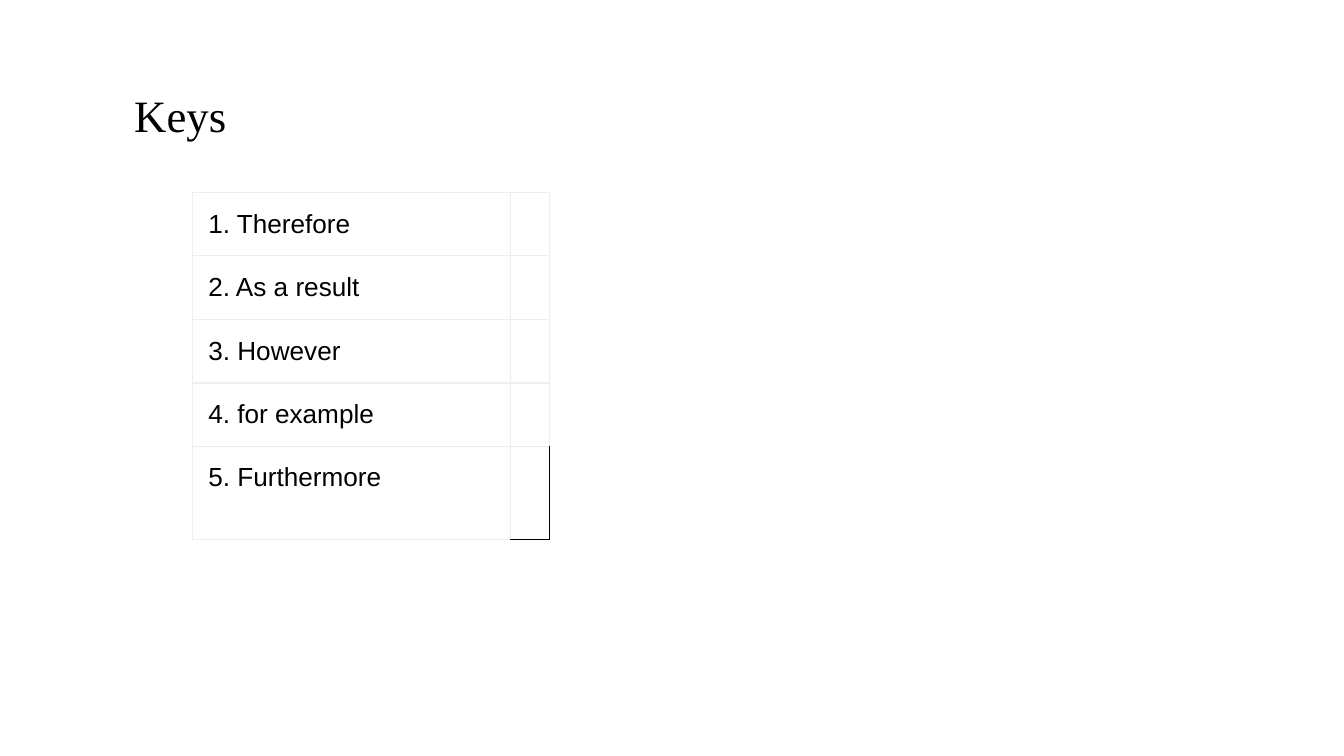
from dataclasses import dataclass

from lxml import etree
from pptx import Presentation
from pptx.dml.color import RGBColor
from pptx.enum.text import MSO_ANCHOR
from pptx.oxml.ns import qn
from pptx.util import Inches, Pt

TOP, MIDDLE = MSO_ANCHOR.TOP, MSO_ANCHOR.MIDDLE
BLACK = RGBColor(0x00, 0x00, 0x00)
WHITE = RGBColor(0xFF, 0xFF, 0xFF)
PALE_GREY = RGBColor(0xEE, 0xEE, 0xEE)


@dataclass
class AnswerRow:
    answer: str
    height: float = 0.46
    anchor: MSO_ANCHOR = MIDDLE


ANSWERS = [
    AnswerRow("1. Therefore"),
    AnswerRow("2. As a result"),
    AnswerRow("3. However"),
    AnswerRow("4. for example"),
    AnswerRow("5. Furthermore", height=0.69, anchor=TOP),
]
COLUMN_WIDTHS = [2.37, 0.29]


def write_text(frame, text: str, *, font: str, size: float,
               color: RGBColor = BLACK) -> None:
    run = frame.paragraphs[0].add_run()
    run.text = text
    run.font.name = font
    run.font.size = Pt(size)
    run.font.color.rgb = color


def set_margins(holder, sides: float, ends: float) -> None:
    holder.margin_left = holder.margin_right = Inches(sides)
    holder.margin_top = holder.margin_bottom = Inches(ends)


def set_borders(cell, colors: dict[str, RGBColor], width: float = 0.75) -> None:
    # Border lines come before the fill in the cell properties
    properties = cell._tc.get_or_add_tcPr()
    for position, (side, color) in enumerate(colors.items()):
        line = etree.Element(qn(f"a:ln{side}"), w=str(Pt(width)))
        fill = etree.SubElement(line, qn("a:solidFill"))
        etree.SubElement(fill, qn("a:srgbClr"), val=str(color))
        properties.insert(position, line)


def add_heading(slide, text: str) -> None:
    heading = slide.shapes.add_textbox(
        Inches(0.9), Inches(0.6), Inches(8.25), Inches(0.3))
    frame = heading.text_frame
    frame.word_wrap = True
    frame.vertical_anchor = TOP
    set_margins(frame, sides=0.1, ends=0.05)
    write_text(frame, text, font="Times New Roman", size=24)


def add_answer_table(slide, answers: list[AnswerRow]) -> None:
    table = slide.shapes.add_table(
        len(answers), len(COLUMN_WIDTHS), Inches(1.43), Inches(1.43),
        Inches(sum(COLUMN_WIDTHS)),
        Inches(sum(row.height for row in answers))).table
    table.first_row = table.horz_banding = False
    for column, width in zip(table.columns, COLUMN_WIDTHS):
        column.width = Inches(width)

    for index, row in enumerate(answers):
        table.rows[index].height = Inches(row.height)
        answer_cell, empty_cell = table.cell(index, 0), table.cell(index, 1)
        set_margins(answer_cell, sides=0.12, ends=0.12)
        answer_cell.vertical_anchor = row.anchor
        write_text(answer_cell.text_frame, row.answer, font="Arial", size=14)

        # The last empty cell closes with a black corner
        corner = BLACK if index == len(answers) - 1 else PALE_GREY
        for cell, edge in ((answer_cell, PALE_GREY), (empty_cell, corner)):
            cell.fill.solid()
            cell.fill.fore_color.rgb = WHITE
            set_borders(cell, {"L": PALE_GREY, "R": edge,
                               "T": PALE_GREY, "B": edge})


def main() -> None:
    presentation = Presentation()
    presentation.slide_width = Inches(10)
    presentation.slide_height = Inches(10 * 9 / 16)
    slide = presentation.slides.add_slide(presentation.slide_layouts[6])

    # Background
    slide.background.fill.solid()
    slide.background.fill.fore_color.rgb = WHITE

    # Content
    add_heading(slide, "Keys")
    add_answer_table(slide, ANSWERS)
    presentation.save("out.pptx")


if __name__ == "__main__":
    main()
